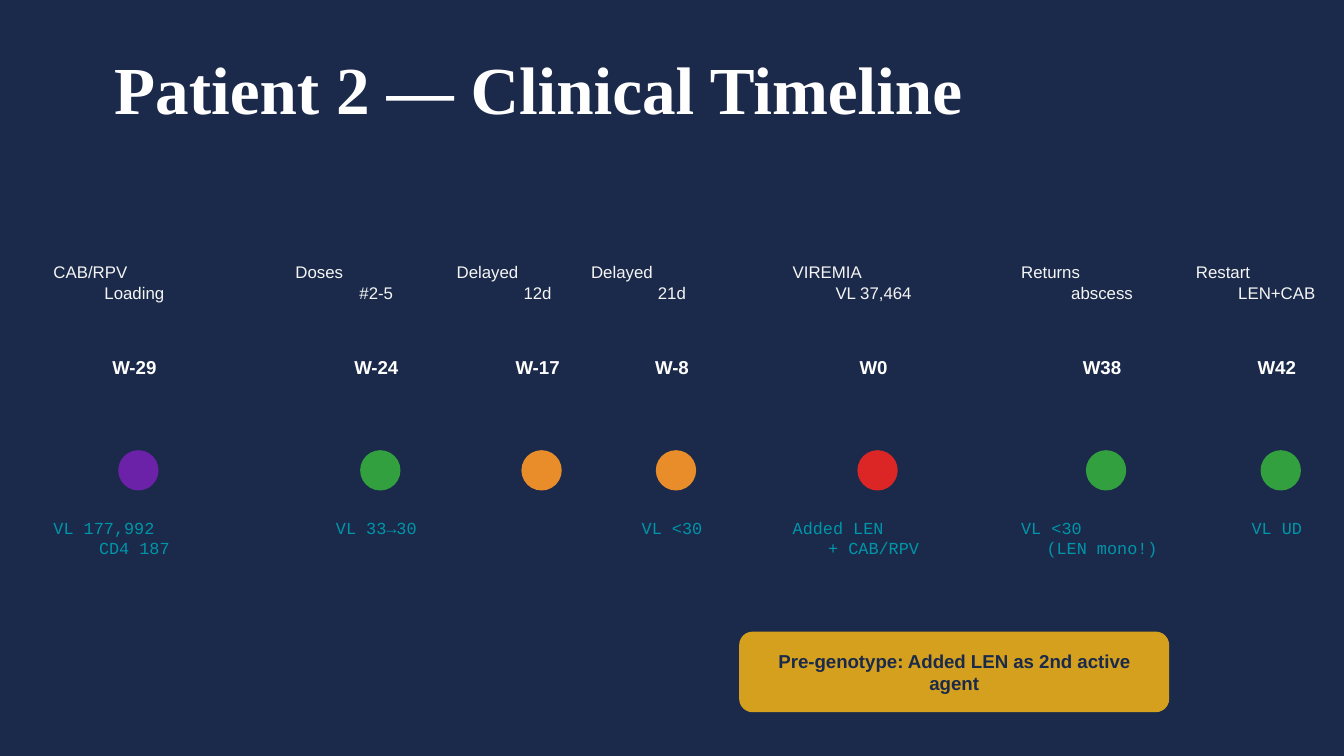
import pptx
import pptx.dml.color
import pptx.enum.shapes
import pptx.enum.text
import pptx.util
from pptx.util import Inches

NAVY, WHITE, PALE, TEAL, GOLD = "1B2A4A", "FFFFFF", "F5F5F5", "0095A8", "D4A01E"
PURPLE, GREEN, ORANGE, RED = "6B21A8", "32A03E", "E88D2A", "DC2626"
SHAPE = pptx.enum.shapes.MSO_SHAPE
ALIGN = pptx.enum.text.PP_ALIGN
ANCHOR = pptx.enum.text.MSO_ANCHOR
AUTO_SIZE = pptx.enum.text.MSO_AUTO_SIZE

EVENTS = [
    (1.0, "W-29", "CAB/RPV\nLoading", "VL 177,992\nCD4 187", PURPLE),
    (2.8, "W-24", "Doses\n#2-5", "VL 33→30", GREEN),
    (4.0, "W-17", "Delayed\n12d", "", ORANGE),
    (5.0, "W-8", "Delayed\n21d", "VL <30", ORANGE),
    (6.5, "W0", "VIREMIA\nVL 37,464", "Added LEN\n+ CAB/RPV", RED),
    (8.2, "W38", "Returns\nabscess", "VL <30\n(LEN mono!)", GREEN),
    (9.5, "W42", "Restart\nLEN+CAB", "VL UD", GREEN),
]


def set_color(target, color):
    """Apply a hex colour to a fill or a font."""
    if hasattr(target, "solid"):
        target.solid()
        target = target.fore_color
    else:
        target = target.color
    target.rgb = pptx.dml.color.RGBColor.from_string(color)


def write(tf, text, size, color, font="Arial", bold=False, align=ALIGN.CENTER):
    """Write one formatted paragraph into a text frame."""
    tf.word_wrap = True
    p = tf.paragraphs[0]
    r = p.add_run()
    r.text = text
    p.alignment = align
    p.font.name, p.font.size, p.font.bold = font, pptx.util.Pt(size), bold
    set_color(p.font, color)


def add_text(s, x, y, w, h, text, size, color, **style):
    """Add a text box."""
    sp = s.shapes.add_textbox(Inches(x), Inches(y), Inches(w), Inches(h))
    write(sp.text_frame, text, size, color, **style)


def add_filled(s, kind, x, y, w, h, color):
    """Add a flat filled shape without an outline."""
    sp = s.shapes.add_shape(kind, Inches(x), Inches(y), Inches(w), Inches(h))
    sp.shadow.inherit = False
    set_color(sp.fill, color)
    sp.line.fill.background()
    return sp


def add_title(s, x, y, w, h, text):
    """Place and format the title placeholder."""
    sp = s.shapes.title
    sp.left, sp.top, sp.width, sp.height = (Inches(v) for v in (x, y, w, h))
    tf = sp.text_frame
    tf.auto_size = AUTO_SIZE.NONE
    tf.vertical_anchor = ANCHOR.TOP
    write(tf, text, 36, WHITE, font="Times New Roman", bold=True, align=ALIGN.LEFT)


def add_event(s, center, y, week, event, result, color):
    """Add one timeline event centred on a position, starting at height y."""
    left = center - 0.7
    add_filled(s, SHAPE.OVAL, center - 0.12, y + 1.45, 0.3, 0.3, color)
    add_text(s, center - 0.5, y + 0.7, 1, 0.35, week, 10, WHITE, bold=True)
    add_text(s, left, y, 1.4, 0.65, event, 9, PALE)
    if result:
        add_text(s, left, y + 1.9, 1.4, 0.65, result, 9, TEAL, font="Courier New")


def add_callout(s, x, y, w, h, text):
    """Add the rounded callout."""
    sp = add_filled(s, SHAPE.ROUNDED_RECTANGLE, x, y, w, h, GOLD)
    sp.text_frame.vertical_anchor = ANCHOR.MIDDLE
    write(sp.text_frame, text, 10, NAVY, bold=True)


def main():
    """Build the clinical timeline slide."""
    prs = pptx.Presentation()
    prs.slide_width = Inches(10)
    prs.slide_height = prs.slide_width * 9 // 16
    s = prs.slides.add_slide(prs.slide_layouts.get_by_name("Title Only"))
    set_color(s.background.fill, NAVY)
    add_title(s, 0.75, 0.3, 11.8, 0.8, "Patient 2 — Clinical Timeline")
    for center, *details in EVENTS:
        add_event(s, center, 1.9, *details)
    add_callout(s, 5.5, 4.7, 3.2, 0.6, "Pre-genotype: Added LEN as 2nd active agent")
    prs.save("out.pptx")


if __name__ == "__main__":
    main()
